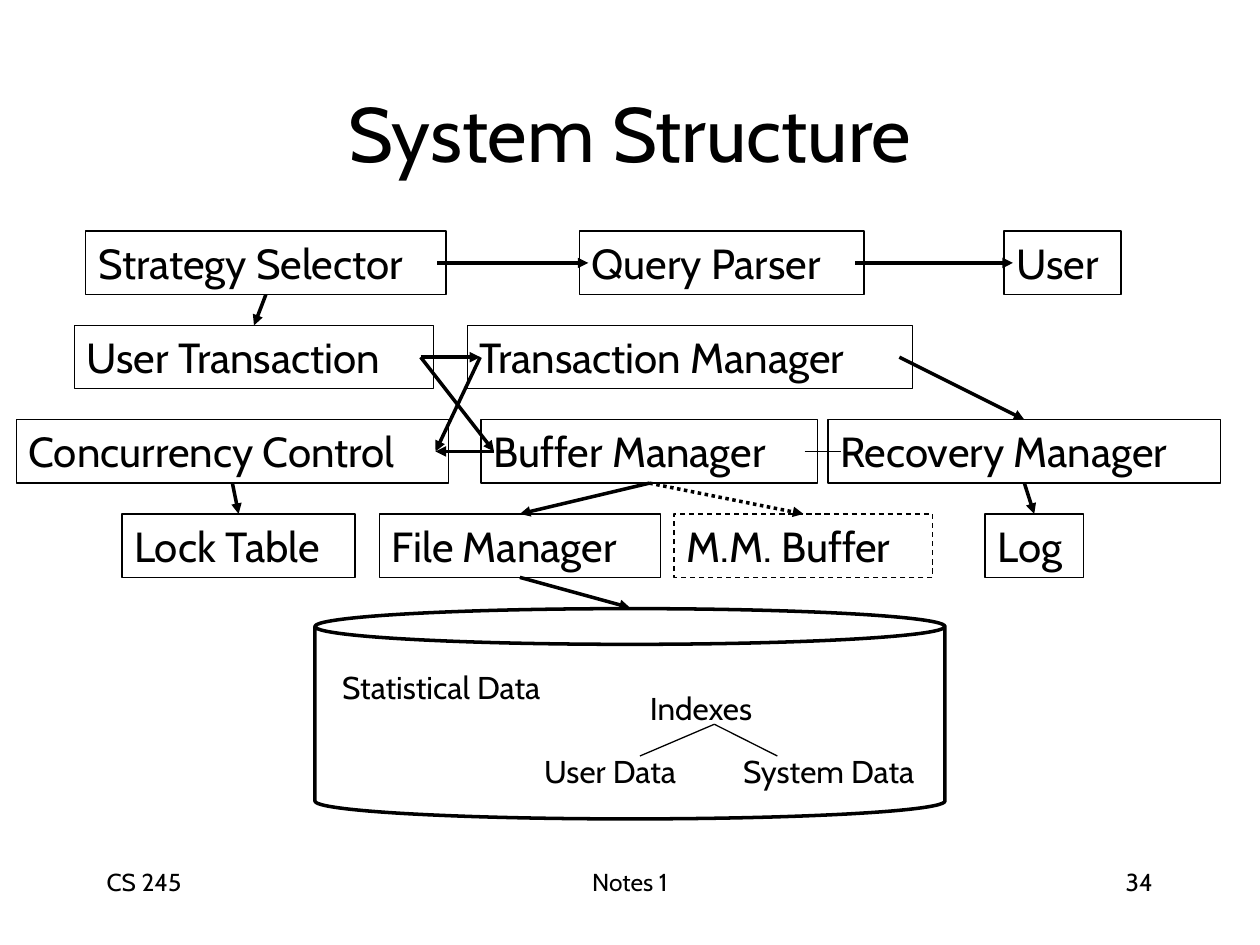
from lxml.etree import SubElement
from pptx import Presentation
from pptx.dml.color import RGBColor
from pptx.enum.dml import MSO_LINE
from pptx.enum.shapes import MSO_CONNECTOR, MSO_SHAPE
from pptx.enum.text import MSO_ANCHOR, PP_ALIGN
from pptx.oxml.ns import qn
from pptx.util import Cm, Pt

INK = {"text": "000000", "line": "000000"}
THIN, BOLD = 0.75, 2


class Pen:
    font = "Cabin"

    def __init__(self, slide):
        self.slide = slide

    def color(self, name):
        return RGBColor.from_string(INK[name])

    def letter(self, shape, text, size, align=PP_ALIGN.LEFT, anchor=MSO_ANCHOR.TOP):
        frame = shape.text_frame
        frame.word_wrap = True
        frame.vertical_anchor = anchor
        para = frame.paragraphs[0]
        para.text = text
        para.alignment = align
        para.font.name = self.font
        para.font.size = Pt(size)
        para.font.color.rgb = self.color("text")

    def stroke(self, item, width, dash=None):
        item.line.color.rgb = self.color("line")
        item.line.width = Pt(width)
        if dash:
            item.line.dash_style = dash

    def label(self, text, x, y, w, h, size, **style):
        box = self.slide.shapes.add_textbox(Cm(x), Cm(y), Cm(w), Cm(h))
        self.letter(box, text, size, **style)

    def shape(self, kind, x, y, w, h, width, dash=None):
        item = self.slide.shapes.add_shape(kind, Cm(x), Cm(y), Cm(w), Cm(h))
        item.shadow.inherit = False
        item.fill.background()
        self.stroke(item, width, dash)
        return item

    def box(self, text, x, y, w, h, dash=None):
        item = self.shape(MSO_SHAPE.RECTANGLE, x, y, w, h, THIN, dash)
        self.letter(item, text, 24)

    def link(self, start, end, width=BOLD, dash=None, head=True):
        ends = [Cm(n) for n in (*start, *end)]
        item = self.slide.shapes.add_connector(MSO_CONNECTOR.STRAIGHT, *ends)
        self.stroke(item, width, dash)
        shape = item._element.spPr
        if head:
            SubElement(shape.find(qn("a:ln")), qn("a:tailEnd"), type="triangle")
        SubElement(shape, qn("a:effectLst"))


deck = Presentation()
deck.slide_width, deck.slide_height = Cm(25.4), Cm(19.05)
pen = Pen(deck.slides.add_slide(deck.slide_layouts[6]))

# Title and footer
pen.label("System Structure", 1.9, 1.06, 21.6, 3.18, 44,
          align=PP_ALIGN.CENTER, anchor=MSO_ANCHOR.MIDDLE)
for text, x, w, align in [("CS 245", 1.9, 5.29, PP_ALIGN.LEFT),
                          ("Notes 1", 8.68, 8.04, PP_ALIGN.CENTER),
                          ("34", 18.2, 5.29, PP_ALIGN.RIGHT)]:
    pen.label(text, x, 17.36, w, 1.27, 14, align=align)

# Modules: four rows of name, left, width
TOP, STEP, HIGH = 4.66, 1.9, 1.28
ROWS = [
    [("Strategy Selector", 1.73, 7.26), ("Query Parser", 11.68, 5.74),
     ("User", 20.24, 2.36)],
    [("User Transaction", 1.5, 7.24), ("Transaction Manager", 9.42, 8.97)],
    [("Concurrency Control", 0.33, 8.71), ("Buffer Manager", 9.7, 6.78),
     ("Recovery Manager", 16.69, 7.92)],
    [("Lock Table", 2.46, 4.7), ("File Manager", 7.65, 5.66),
     ("M.M. Buffer", 13.59, 5.21), ("Log", 19.86, 1.98)],
]
spots = {}
for row, items in enumerate(ROWS):
    y = TOP + row * STEP
    inset = 0.26 if row else 0.18
    for name, x, w in items:
        pen.box(name, x, y, w, HIGH,
                MSO_LINE.DASH if name == "M.M. Buffer" else None)
        mid = y + HIGH / 2
        spots[name] = {"top": (x + w / 2, y), "base": (x + w / 2, y + HIGH),
                       "left": (x + inset, mid), "right": (x + w - inset, mid)}

# Disk
disk = pen.shape(MSO_SHAPE.CAN, 6.35, 12.27, 12.7, 4.24, BOLD)
disk.adjustments[0] = 0.17
spots["Disk"] = {"top": (12.7, 12.25)}

# Arrows between modules
for start, out, end, into in [
    ("Strategy Selector", "right", "Query Parser", "left"),
    ("Query Parser", "right", "User", "left"),
    ("Strategy Selector", "base", "User Transaction", "top"),
    ("User Transaction", "right", "Transaction Manager", "left"),
    ("User Transaction", "right", "Buffer Manager", "left"),
    ("Transaction Manager", "left", "Concurrency Control", "right"),
    ("Transaction Manager", "right", "Recovery Manager", "top"),
    ("Buffer Manager", "left", "Concurrency Control", "right"),
    ("Buffer Manager", "base", "File Manager", "top"),
    ("Concurrency Control", "base", "Lock Table", "top"),
    ("Recovery Manager", "base", "Log", "top"),
    ("File Manager", "base", "Disk", "top"),
]:
    pen.link(spots[start][out], spots[end][into])
pen.link(spots["Buffer Manager"]["base"], spots["M.M. Buffer"]["top"],
         dash=MSO_LINE.ROUND_DOT)
pen.link(spots["Buffer Manager"]["right"], spots["Recovery Manager"]["left"],
         THIN, head=False)

# Disk contents
for text, x, y, w in [("Statistical Data", 6.65, 13.34, 4.93),
                      ("Indexes", 12.85, 13.77, 2.84),
                      ("User Data", 10.72, 15.04, 3.45),
                      ("System Data", 14.73, 15.04, 4.24)]:
    pen.label(text, x, y, w, 1.02, 18)
for x in (12.9, 15.67):
    pen.link((14.4, 14.6), (x, 15.24), THIN, head=False)

deck.save("out.pptx")
